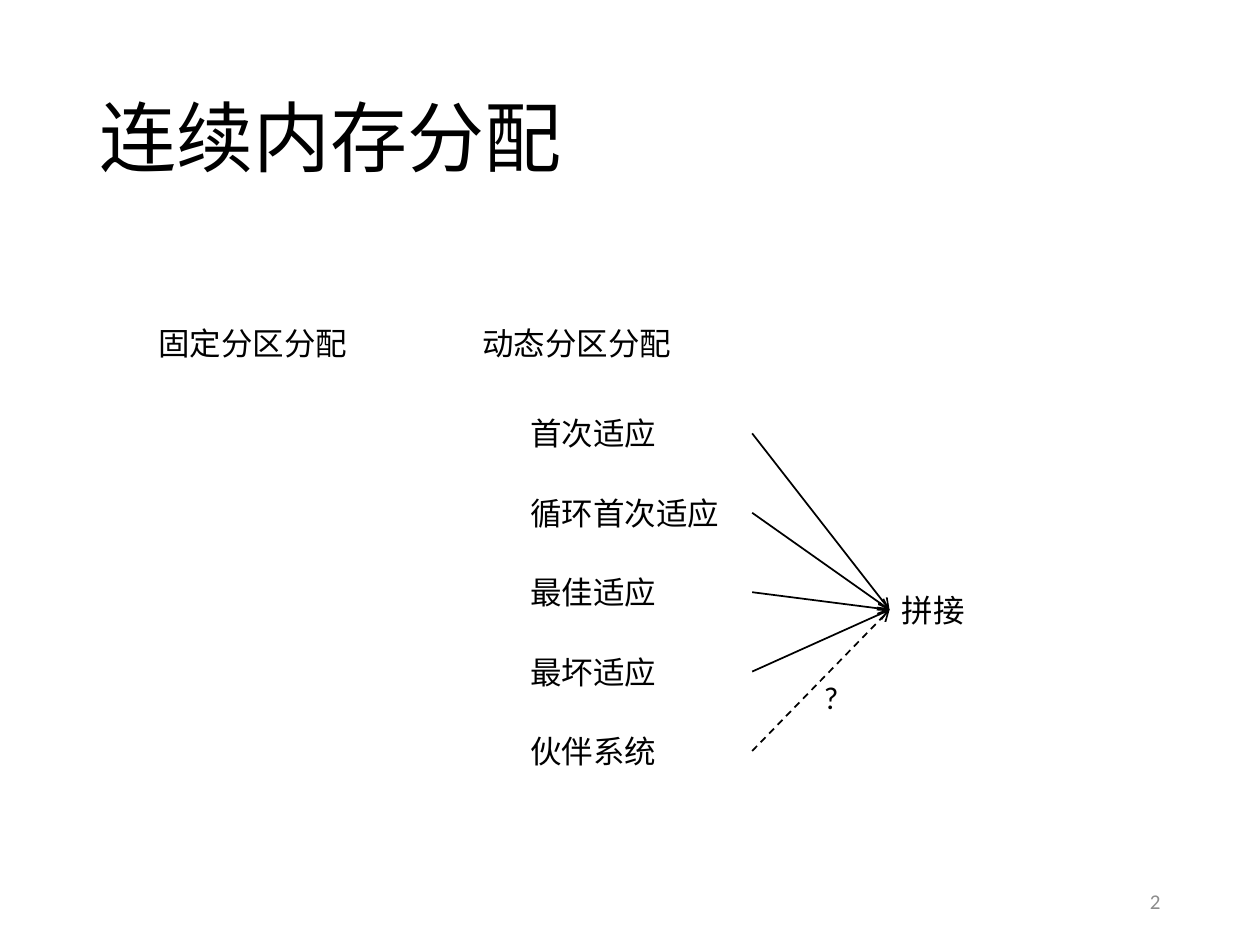
from lxml.etree import SubElement
from pptx import Presentation
from pptx.dml.color import RGBColor
from pptx.enum.dml import MSO_LINE
from pptx.enum.shapes import MSO_CONNECTOR, MSO_SHAPE
from pptx.enum.text import MSO_ANCHOR as Anchor, MSO_AUTO_SIZE as AutoSize, PP_ALIGN as Align
from pptx.oxml.ns import qn
from pptx.util import Inches, Pt

BLACK = RGBColor(0x00, 0x00, 0x00)
WHITE = RGBColor(0xFF, 0xFF, 0xFF)
GRAY = RGBColor(0x8C, 0x8C, 0x8C)
LATIN_FONT = "Calibri"
CHINESE_FONT = "Noto Sans CJK SC"
LABEL_HEIGHT = 0.4
STRATEGIES = ["首次适应", "循环首次适应", "最佳适应", "最坏适应", "伙伴系统"]


def write_text(shape, text, size=18, font=CHINESE_FONT, color=BLACK,
               align=Align.JUSTIFY, anchor=Anchor.TOP, spacing=1.0,
               auto_size=AutoSize.SHAPE_TO_FIT_TEXT):
    """Write one formatted paragraph into a shape."""
    frame = shape.text_frame
    frame.word_wrap = True
    frame.auto_size = auto_size
    frame.vertical_anchor = anchor
    paragraph = frame.paragraphs[0]
    paragraph.alignment = align
    paragraph.line_spacing = spacing
    run = paragraph.add_run()
    run.text = text
    run.font.size = Pt(size)
    run.font.name = font
    run.font.color.rgb = color
    SubElement(run.font._element, qn("a:ea"), typeface=CHINESE_FONT)


def add_label(slide, text, left, top, width, **text_format):
    """Add a white borderless rectangle with text."""
    shape = slide.shapes.add_shape(MSO_SHAPE.RECTANGLE, Inches(left), Inches(top),
                                   Inches(width), Inches(LABEL_HEIGHT))
    shape.shadow.inherit = False
    shape.fill.solid()
    shape.fill.fore_color.rgb = WHITE
    shape.line.fill.background()
    write_text(shape, text, **text_format)
    return shape


def add_note(slide, text, left, top, width, **text_format):
    """Add a text box without a fill."""
    box = slide.shapes.add_textbox(Inches(left), Inches(top),
                                   Inches(width), Inches(LABEL_HEIGHT))
    write_text(box, text, **text_format)
    return box


def add_arrow(slide, source, target, dashed=False):
    """Join the right side of the source to the left side of the target."""
    arrow = slide.shapes.add_connector(MSO_CONNECTOR.STRAIGHT, 0, 0, 0, 0)
    arrow.begin_connect(source, 3)
    arrow.end_connect(target, 1)
    arrow.line.color.rgb = BLACK
    arrow.line.width = Pt(1)
    if dashed:
        arrow.line.dash_style = MSO_LINE.DASH
    SubElement(arrow.line._get_or_add_ln(), qn("a:tailEnd"), type="arrow")
    SubElement(arrow._element.spPr, qn("a:effectLst"))


def place_title(slide, text, left, top, width, height):
    """Move and format the title placeholder."""
    title = slide.shapes.title
    title.left, title.top = Inches(left), Inches(top)
    title.width, title.height = Inches(width), Inches(height)
    write_text(title, text, size=44, font=LATIN_FONT, align=Align.LEFT,
               anchor=Anchor.MIDDLE, spacing=0.9, auto_size=AutoSize.NONE)


def add_strategies(slide, left, top, width, pitch):
    """Stack the allocation strategies at an equal pitch."""
    return [add_label(slide, text, left, top + row * pitch, width)
            for row, text in enumerate(STRATEGIES)]


def add_merge_diagram(slide, left, top):
    """Draw the strategies and their arrows to the merging step."""
    strategies = add_strategies(slide, left, top, 1.86, 0.63)
    merge = add_note(slide, "拼接", left + 2.95, top + 1.4, 1)
    for strategy in strategies:
        add_arrow(slide, strategy, merge, dashed=strategy is strategies[-1])
    add_note(slide, "?", left + 2.33, top + 2.09, 0.52, font=LATIN_FONT)


def main():
    """Build and save the presentation."""
    presentation = Presentation()
    presentation.slide_width = Inches(10)
    presentation.slide_height = Inches(7.5)
    slide = presentation.slides.add_slide(presentation.slide_layouts[5])
    place_title(slide, "连续内存分配", 0.69, 0.4, 8.62, 1.45)
    add_note(slide, "2", 7.06, 6.95, 2.25, size=12, font=LATIN_FONT, color=GRAY,
             align=Align.RIGHT, anchor=Anchor.MIDDLE, auto_size=AutoSize.NONE)
    add_label(slide, "固定分区分配", 1.16, 2.52, 2.06, font=LATIN_FONT)
    add_label(slide, "动态分区分配", 3.73, 2.52, 2.03)
    add_merge_diagram(slide, 4.11, 3.24)
    presentation.save("out.pptx")


if __name__ == "__main__":
    main()
